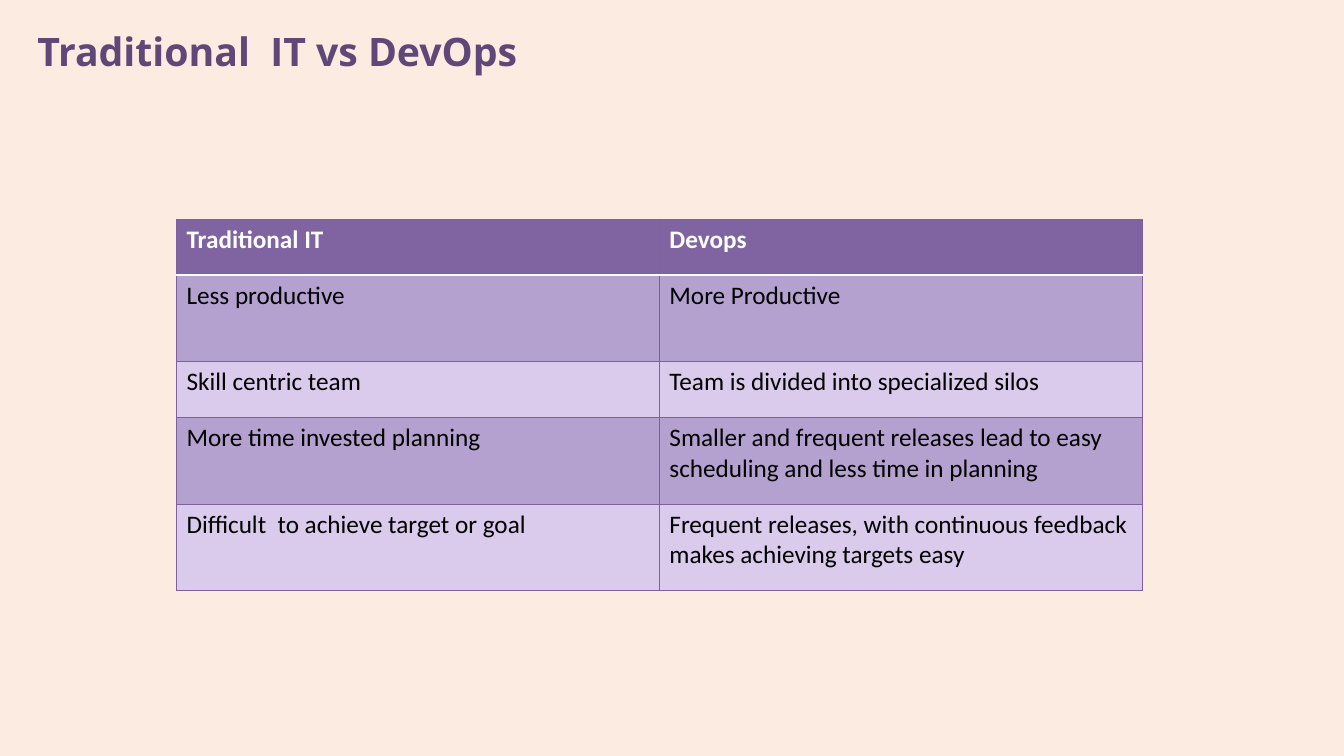
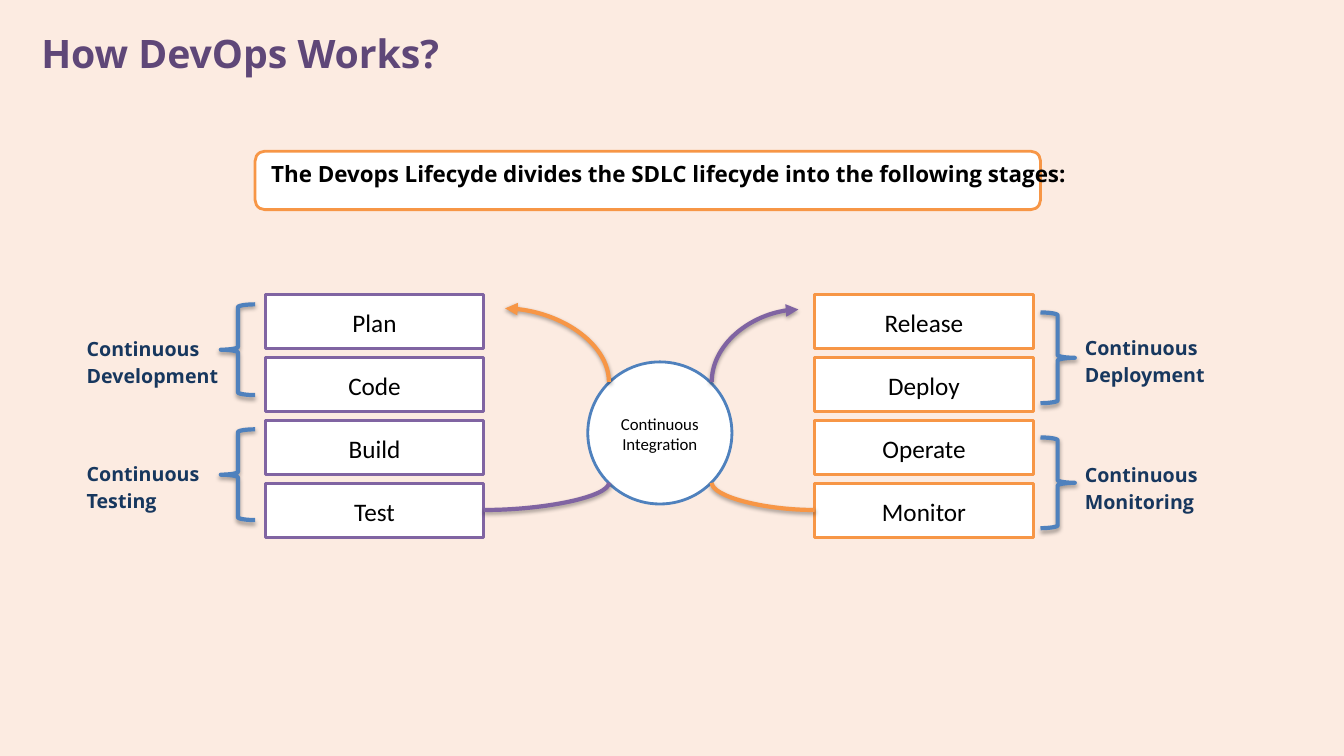
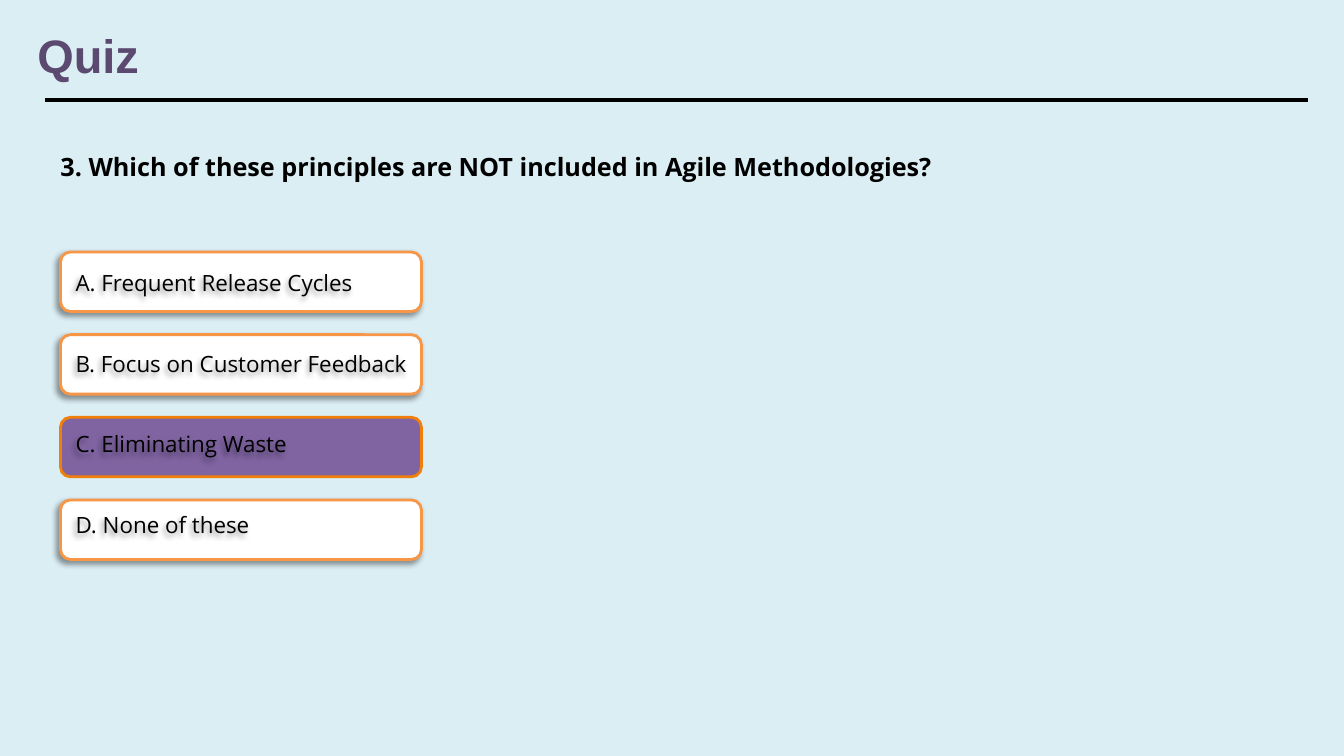
"""Build three DevOps training slides: comparison table, lifecycle diagram and quiz."""
from lxml import etree
from pptx import Presentation
from pptx.dml.color import RGBColor
from pptx.enum.shapes import MSO_CONNECTOR, MSO_SHAPE
from pptx.enum.text import MSO_ANCHOR, MSO_AUTO_SIZE, PP_ALIGN
from pptx.oxml.ns import qn
from pptx.util import Inches, Pt

RECTANGLE, ROUNDED, OVAL = MSO_SHAPE.RECTANGLE, MSO_SHAPE.ROUNDED_RECTANGLE, MSO_SHAPE.OVAL
LEFT_BRACE, RIGHT_BRACE = MSO_SHAPE.LEFT_BRACE, MSO_SHAPE.RIGHT_BRACE
STRAIGHT, CURVE = MSO_CONNECTOR.STRAIGHT, MSO_CONNECTOR.CURVE
TOP, MIDDLE = MSO_ANCHOR.TOP, MSO_ANCHOR.MIDDLE
LEFT, CENTER = PP_ALIGN.LEFT, PP_ALIGN.CENTER
NO_AUTOFIT = MSO_AUTO_SIZE.NONE

PEACH = RGBColor(0xFC, 0xEB, 0xE1)
PALE_BLUE = RGBColor(0xDB, 0xEE, 0xF4)
TITLE_PURPLE = RGBColor(0x5F, 0x47, 0x78)
QUIZ_PURPLE = RGBColor(0x5B, 0x49, 0x70)
PURPLE = RGBColor(0x80, 0x64, 0xA2)
BORDER_PURPLE = RGBColor(0x7D, 0x60, 0xA0)
BAND_DARK = RGBColor(0xB4, 0xA1, 0xCF)
BAND_LIGHT = RGBColor(0xDA, 0xCA, 0xEC)
ORANGE = RGBColor(0xF7, 0x96, 0x46)
ANSWER_ORANGE = RGBColor(0xF1, 0x7F, 0x09)
BLUE = RGBColor(0x4F, 0x81, 0xBD)
NAVY = RGBColor(0x17, 0x37, 0x5E)
WHITE = RGBColor(0xFF, 0xFF, 0xFF)
BLACK = RGBColor(0, 0, 0)

HEADING_FONT, BODY_FONT = "Open Sans", "Calibri"
SOFT_SHADOW = {"alpha": 35, "blur": 3.1, "distance": 1.8, "angle": 90}
CARD_SHADOW = {"alpha": 40, "blur": 4, "distance": 3, "angle": 135}

COMPARISON = [
    ("Traditional IT", "Devops"),
    ("Less productive", "More Productive"),
    ("Skill centric team", "Team is divided into specialized silos"),
    ("More time invested planning",
     "Smaller and frequent releases lead to easy scheduling and less time in planning"),
    ("Difficult  to achieve target or goal",
     "Frequent releases, with continuous feedback makes achieving targets easy"),
]
ROW_HEIGHTS = [0.55, 0.86, 0.55, 0.86, 0.86]

INTRO = "The Devops Lifecyde divides the SDLC lifecyde into the following stages:"
STAGES = [
    (2.63, PURPLE, ["Plan", "Code", "Build", "Test"]),
    (8.08, ORANGE, ["Release", "Deploy", "Operate", "Monitor"]),
]
PHASES = [
    ("Continuous Development", 0.86, 3.29, LEFT_BRACE, 2.19, 3.02),
    ("Continuous Testing", 0.86, 4.53, LEFT_BRACE, 2.19, 4.26),
    ("Continuous Deployment", 10.76, 3.28, RIGHT_BRACE, 10.32, 3.1),
    ("Continuous Monitoring", 10.76, 4.54, RIGHT_BRACE, 10.32, 4.34),
]
CURVES = [
    ((5.01, 3.06), (6.04, 3.79), ORANGE, True),
    ((7.92, 3.07), (7.06, 3.79), PURPLE, True),
    ((4.8, 5.06), (6.04, 4.79), PURPLE, False),
    ((8.08, 5.06), (7.06, 4.79), ORANGE, False),
]

QUESTION = "3. Which of these principles are NOT included in Agile Methodologies?"
OPTIONS = ["A. Frequent Release Cycles", "B. Focus on Customer Feedback",
           "C. Eliminating Waste", "D. None of these"]
ANSWER = 2


def add_span(para, text, size, color, font, bold=False):
    span = para.add_run()
    span.text = text
    span.font.size = Pt(size)
    span.font.name = font
    span.font.bold = bold
    span.font.color.rgb = color


def fill_text(box, lines, size, color, font=HEADING_FONT, bold=False, inset=0.01,
              align=LEFT, anchor=TOP, spacing=None):
    frame = box.text_frame
    frame.word_wrap = True
    frame.auto_size = NO_AUTOFIT
    frame.vertical_anchor = anchor
    frame.margin_left = frame.margin_right = frame.margin_bottom = 0
    frame.margin_top = Inches(inset)
    for index, line in enumerate(lines):
        para = frame.add_paragraph() if index else frame.paragraphs[0]
        para.alignment = align
        para.line_spacing = spacing
        add_span(para, line, size, color, font, bold)


def add_text(page, at, text, size, color, **style):
    box = page.shapes.add_textbox(*map(Inches, at))
    fill_text(box, [text], size, color, **style)
    return box


def add_box(page, kind, at, line, fill=WHITE, width=2):
    box = page.shapes.add_shape(kind, *map(Inches, at))
    box.shadow.inherit = False
    if fill is None:
        box.fill.background()
    else:
        box.fill.solid()
        box.fill.fore_color.rgb = fill
    box.line.color.rgb = line
    box.line.width = Pt(width)
    return box


def add_line(page, kind, start, end, color, width):
    line = page.shapes.add_connector(kind, *map(Inches, start + end))
    line.line.color.rgb = color
    line.line.width = Pt(width)
    etree.SubElement(line._element.spPr, qn("a:effectLst"))
    return line


def add_shadow(shape, alpha, blur, distance, angle):
    properties = shape._element.spPr
    effects = properties.find(qn("a:effectLst"))
    if effects is None:
        effects = etree.SubElement(properties, qn("a:effectLst"))
    outer = etree.SubElement(effects, qn("a:outerShdw"), blurRad=str(Pt(blur)),
                             dist=str(Pt(distance)), dir=str(angle * 60000), rotWithShape="0")
    color = etree.SubElement(outer, qn("a:srgbClr"), val=str(BLACK))
    etree.SubElement(color, qn("a:alpha"), val=str(alpha * 1000))


def set_borders(cell, bottom_color, bottom_width, top_color, top_width):
    properties = cell._tc.get_or_add_tcPr()
    sides = [("L", BORDER_PURPLE, 0.75), ("R", BORDER_PURPLE, 0.75),
             ("T", top_color, top_width), ("B", bottom_color, bottom_width)]
    for index, (side, color, width) in enumerate(sides):
        line = etree.Element(qn(f"a:ln{side}"), w=str(Pt(width)))
        fill = etree.SubElement(line, qn("a:solidFill"))
        etree.SubElement(fill, qn("a:srgbClr"), val=str(color))
        properties.insert(index, line)


def add_page(deck, background, title, at, size=28, color=TITLE_PURPLE, font=HEADING_FONT,
             inset=0.01):
    page = deck.slides.add_slide(deck.slide_layouts[5])
    page.background.fill.solid()
    page.background.fill.fore_color.rgb = background
    heading = page.shapes.title
    heading.left, heading.top, heading.width, heading.height = map(Inches, at)
    fill_text(heading, [title], size, color, font=font, bold=True, inset=inset)
    return page


def build_comparison(deck):
    page = add_page(deck, PEACH, "Traditional  IT vs DevOps", (0.37, 0.26, 5.2, 0.49))
    frame = page.shapes.add_table(len(COMPARISON), 2, *map(Inches, (1.75, 2.18, 9.58, 3.68)))
    table = frame.table
    thin, thick = (BORDER_PURPLE, 0.75), (WHITE, 2)
    for row, texts in enumerate(COMPARISON):
        table.rows[row].height = Inches(ROW_HEIGHTS[row])
        header = row == 0
        fill = PURPLE if header else BAND_DARK if row % 2 else BAND_LIGHT
        for column, text in enumerate(texts):
            cell = table.cell(row, column)
            cell.fill.solid()
            cell.fill.fore_color.rgb = fill
            set_borders(cell, *(thick if header else thin), *(thick if row == 1 else thin))
            add_span(cell.text_frame.paragraphs[0], text, 18,
                     WHITE if header else BLACK, BODY_FONT, header)


def build_lifecycle(deck):
    page = add_page(deck, PEACH, "How DevOps Works?", (0.41, 0.28, 4.48, 0.49))
    add_box(page, ROUNDED, (2.53, 1.5, 7.79, 0.58), ORANGE)
    add_text(page, (2.69, 1.58, 7.99, 0.28), INTRO, 16, BLACK, bold=True)
    hub = add_box(page, OVAL, (5.83, 3.59, 1.43, 1.41), BLUE)
    fill_text(hub, ["Continuous", "Integration"], 12, BLACK, font=BODY_FONT,
              align=CENTER, anchor=MIDDLE)
    for left, color, names in STAGES:
        for index, name in enumerate(names):
            stage = add_box(page, RECTANGLE, (left, 2.92 + 0.625 * index, 2.17, 0.54), color)
            fill_text(stage, [name], 18, BLACK, font=BODY_FONT, align=CENTER, anchor=MIDDLE)
    for start, end, color, arrow in CURVES:
        curve = add_line(page, CURVE, start, end, color, 3)
        curve._element.spPr.find(qn("a:prstGeom")).set("prst", "curvedConnector2")
        if arrow:
            etree.SubElement(curve.line._get_or_add_ln(), qn("a:headEnd"), type="triangle")
        add_shadow(curve, **SOFT_SHADOW)
    for label, left, top, kind, brace_left, brace_top in PHASES:
        add_text(page, (left, top, 1.43, 0.54), label, 14, NAVY, bold=True, spacing=1.17)
        brace = add_box(page, kind, (brace_left, brace_top, 0.34, 0.9), BLUE, None, 3)
        add_shadow(brace, **SOFT_SHADOW)


def build_quiz(deck):
    page = add_page(deck, PALE_BLUE, "Quiz", (0.37, 0.24, 1.21, 0.58), 33.5, QUIZ_PURPLE,
                    "Arial", 0.02)
    add_line(page, STRAIGHT, (0.45, 0.99), (12.97, 0.99), BLACK, 3)
    add_text(page, (0.6, 1.39, 9.81, 0.41), QUESTION, 18, BLACK, bold=True, inset=0.11)
    for index, option in enumerate(OPTIONS):
        chosen = index == ANSWER
        card = add_box(page, ROUNDED, (0.6, 2.5 + 0.82 * index, 3.58, 0.59),
                       ANSWER_ORANGE if chosen else ORANGE, PURPLE if chosen else WHITE)
        if not chosen:
            add_shadow(card, **CARD_SHADOW)
        label = add_text(page, (0.75, 2.65 + 0.8 * index, 3.43, 0.3), option, 16, BLACK,
                         inset=0.02)
        add_shadow(label, **CARD_SHADOW)


def main():
    deck = Presentation()
    deck.slide_width, deck.slide_height = Inches(13.33), Inches(7.5)
    build_comparison(deck)
    build_lifecycle(deck)
    build_quiz(deck)
    deck.save("out.pptx")


if __name__ == "__main__":
    main()
